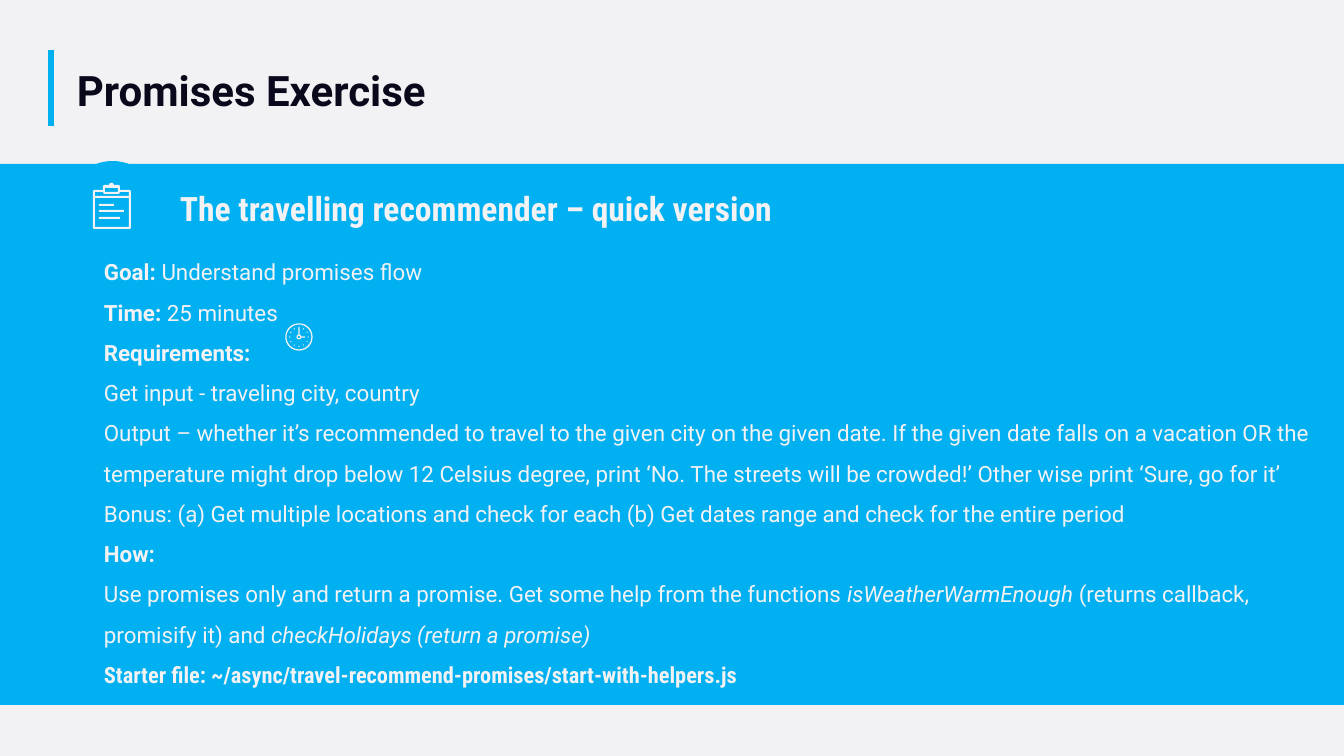
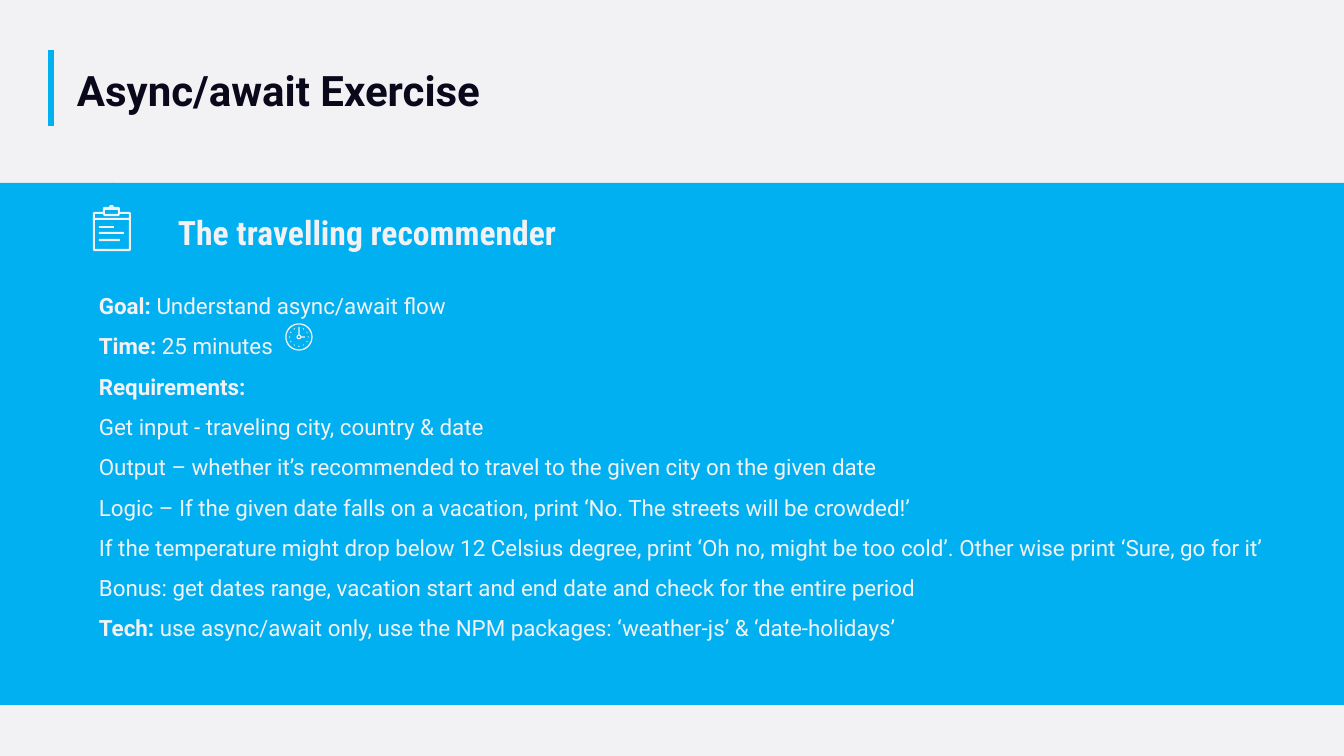
import math
import pptx
import pptx.dml.color
import pptx.enum.shapes
import pptx.enum.text
import pptx.oxml.ns
import pptx.util
import lxml.etree

SCALE = 914400 / 100.8
FINE = 10
WIDE, HIGH = 1344, 756
BLUE, PALE, DARK = "00B0F0", "F2F2F5", "0A091B"
SANS, SLIM = "Roboto", "Roboto Condensed"
KIND = pptx.enum.shapes.MSO_SHAPE
ANCHOR = pptx.enum.text.MSO_ANCHOR


def px(num):
    return pptx.util.Emu(round(num * SCALE))


def color(code):
    return pptx.dml.color.RGBColor.from_string(code)


def paint(item, fill):
    item.shadow.inherit = False
    item.fill.solid()
    item.fill.fore_color.rgb = color(fill)
    item.line.fill.background()


def shape(host, kind, box, fill):
    paint(host.shapes.add_shape(kind, *map(px, box)), fill)


def trace(host, left, top, loops, fill):
    pen = None
    for loop in loops:
        first, *rest = [(x * FINE, y * FINE) for x, y in loop]
        if pen is None:
            pen = host.shapes.build_freeform(*first, scale=SCALE / FINE)
        else:
            pen.move_to(*first)
        pen.add_line_segments(rest, close=True)
    paint(pen.convert_to_shape(px(left), px(top)), fill)


def rule(slide, start, end, line, width):
    item = slide.shapes.add_connector(
        pptx.enum.shapes.MSO_CONNECTOR.STRAIGHT, *map(px, start + end))
    item.line.color.rgb = color(line)
    item.line.width = px(width)
    props = item._element.spPr
    lxml.etree.SubElement(props, pptx.oxml.ns.qn("a:effectLst"))


def text(slide, box, paras, size=16, font=SANS, ink=PALE, space=1, anchor=ANCHOR.TOP):
    frame = slide.shapes.add_textbox(*map(px, box)).text_frame
    frame.word_wrap = True
    frame.vertical_anchor = anchor
    for num, runs in enumerate(paras):
        para = frame.paragraphs[0] if num == 0 else frame.add_paragraph()
        para.line_spacing = space
        for words, style in runs:
            for row, part in enumerate(words.split("\n")):
                if row:
                    para.add_line_break()
                run = para.add_run()
                run.text = part
                run.font.size = pptx.util.Pt(size)
                run.font.name = SLIM if "slim" in style else font
                run.font.bold = "bold" in style
                run.font.italic = "slant" in style
                run.font.color.rgb = color(ink)


def header(slide, left, top, width, title):
    rule(slide, (left, top), (left, top + 76), BLUE, 7)
    text(slide, (left + 16, top - 32, width, 102), [[(title, "bold")]],
         size=30, ink=DARK, anchor=ANCHOR.BOTTOM)


def rect(left, top, right, base):
    return [(left, top), (right, top), (right, base), (left, base)]


def ring(x, y, size, count):
    turns = [math.tau * num / count for num in range(count)]
    return [(x + size * math.sin(turn), y - size * math.cos(turn)) for turn in turns]


def board(slide, left, top):
    group = slide.shapes.add_group_shape()
    shape(group, KIND.OVAL, (left, top, 91, 91), BLUE)
    edge = [(0, 8), (1, 7), (10, 7), (10, 3), (11, 2), (16, 2), (17, 0), (20, 0),
            (21, 2), (26, 2), (27, 3), (27, 7), (37, 7), (38, 8), (38, 45),
            (37, 46), (1, 46), (0, 45)]
    band = [(2, 9), (10, 9), (11, 11), (26, 11), (27, 9), (36, 9), (36, 13), (2, 13)]
    bars = [rect(6, y, end, y + 2) for y, end in ((21, 21), (27, 31), (34, 27))]
    trace(group, left + 26, top + 22,
          [edge, band, rect(12, 5, 25, 9), rect(2, 15, 36, 44)] + bars, PALE)


def clock(slide, left, top):
    mid = 14
    rims = [ring(mid, mid, size, 32) for size in (13.7, 12.4)]
    hub = [ring(mid, mid, size, 8) for size in (2.5, 1.3)]
    hands = [rect(mid - 0.6, 4, mid + 0.6, 11.6), rect(16.4, mid - 0.6, 20, mid + 0.6)]
    dots = [ring(x, y, 0.7, 4) for x, y in ring(mid, mid, 9.3, 12)[1:]]
    trace(slide, left, top, rims + hub + hands + dots, PALE)


def task(deck, title, width, top, icon, head, name, body, paras):
    slide = deck.slides.add_slide(deck.slide_layouts[6])
    slide.background.fill.solid()
    slide.background.fill.fore_color.rgb = color(PALE)
    shape(slide, KIND.RECTANGLE, (0, top, WIDE, 705 - top), BLUE)
    header(slide, 51, 50, width, title)
    text(slide, body, paras, space=1.5)
    text(slide, head, [[(name, "bold")]], size=24, font=SLIM)
    board(slide, 67, icon)
    clock(slide, 285, 323)


def main():
    deck = pptx.Presentation()
    deck.slide_width, deck.slide_height = px(WIDE), px(HIGH)
    task(deck, "Promises Exercise", 400, 164, 161, (170, 183, 823, 50),
         "The travelling recommender – quick version", (94, 240, 1238, 494), [
             [("Goal: ", "bold"), ("Understand promises flow", "")],
             [("Time: ", "bold"), ("25 minutes", "")],
             [("Requirements:", "bold")],
             [("Get input - traveling city, country\n"
               "Output – whether it’s recommended to travel to the given city on the given date. "
               "If the given date falls on a vacation OR the temperature might drop below "
               "12 Celsius degree, print ‘No. The streets will be crowded!’ "
               "Other wise print ‘Sure, go for it’", "")],
             [("Bonus: (a) Get multiple locations and check for each "
               "(b) Get dates range and check for the entire period", "")],
             [("How:", "bold")],
             [("Use promises only and return a promise. Get some help from the functions ", ""),
              ("isWeatherWarmEnough", "slant"),
              (" (returns callback, promisify it) and ", ""),
              ("checkHolidays (return a promise)", "slant")],
             [("Starter file: ~/async/travel-recommend-promises/start-with-helpers.js", "bold slim")],
         ])
    task(deck, "Async/await Exercise", 531, 183, 183, (168, 207, 638, 50),
         "The travelling recommender", (89, 274, 1255, 372), [
             [("Goal: ", "bold"), ("Understand async/await flow", "")],
             [("Time: ", "bold"), ("25 minutes", "")],
             [("Requirements:", "bold")],
             [("Get input - traveling city, country & date\n"
               "Output – whether it’s recommended to travel to the given city on the given date\n"
               "Logic – If the given date falls on a vacation, "
               "print ‘No. The streets will be crowded!’", "")],
             [("If the temperature might drop below 12 Celsius degree, "
               "print ‘Oh no, might be too cold’. Other wise print ‘Sure, go for it’", "")],
             [("Bonus: get dates range, vacation start and end date "
               "and check for the entire period", "")],
             [("Tech:", "bold"),
              (" use async/await only, use the NPM packages: ‘weather-js’ & ‘date-holidays’", "")],
         ])
    deck.save("out.pptx")


if __name__ == "__main__":
    main()
